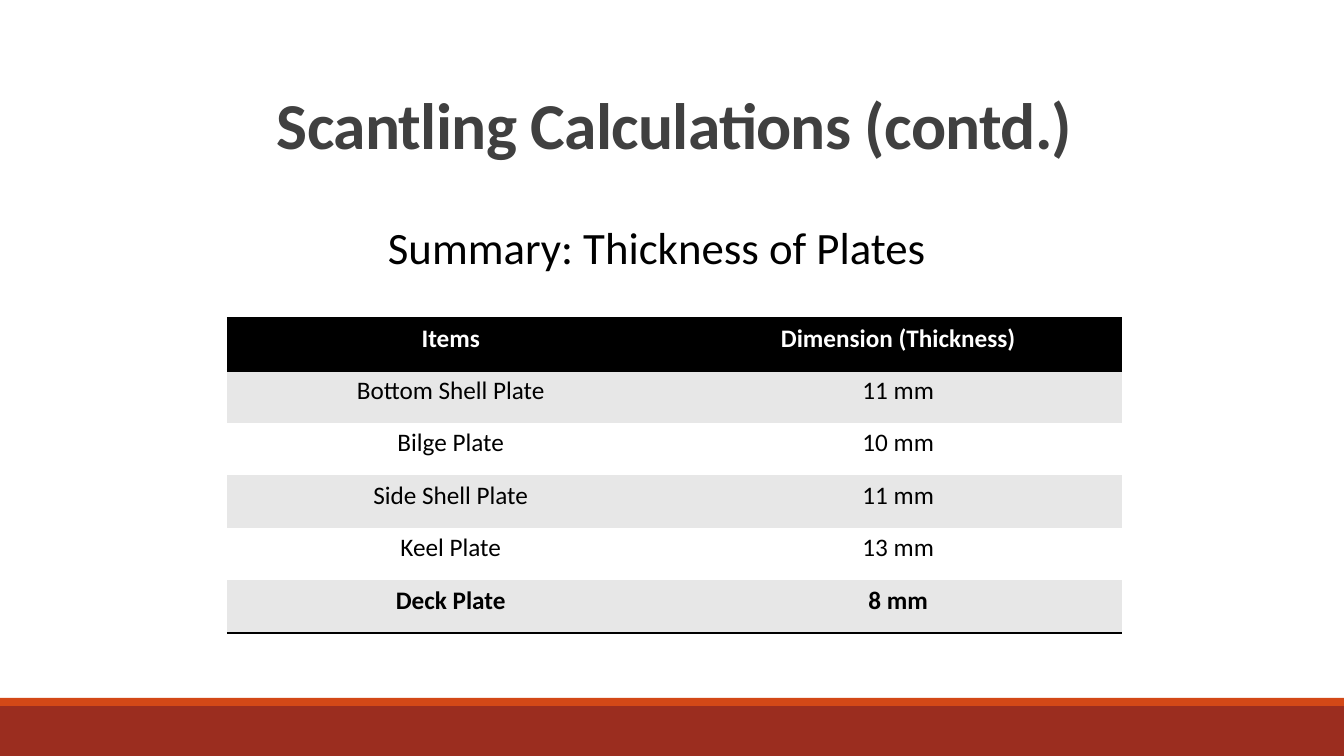
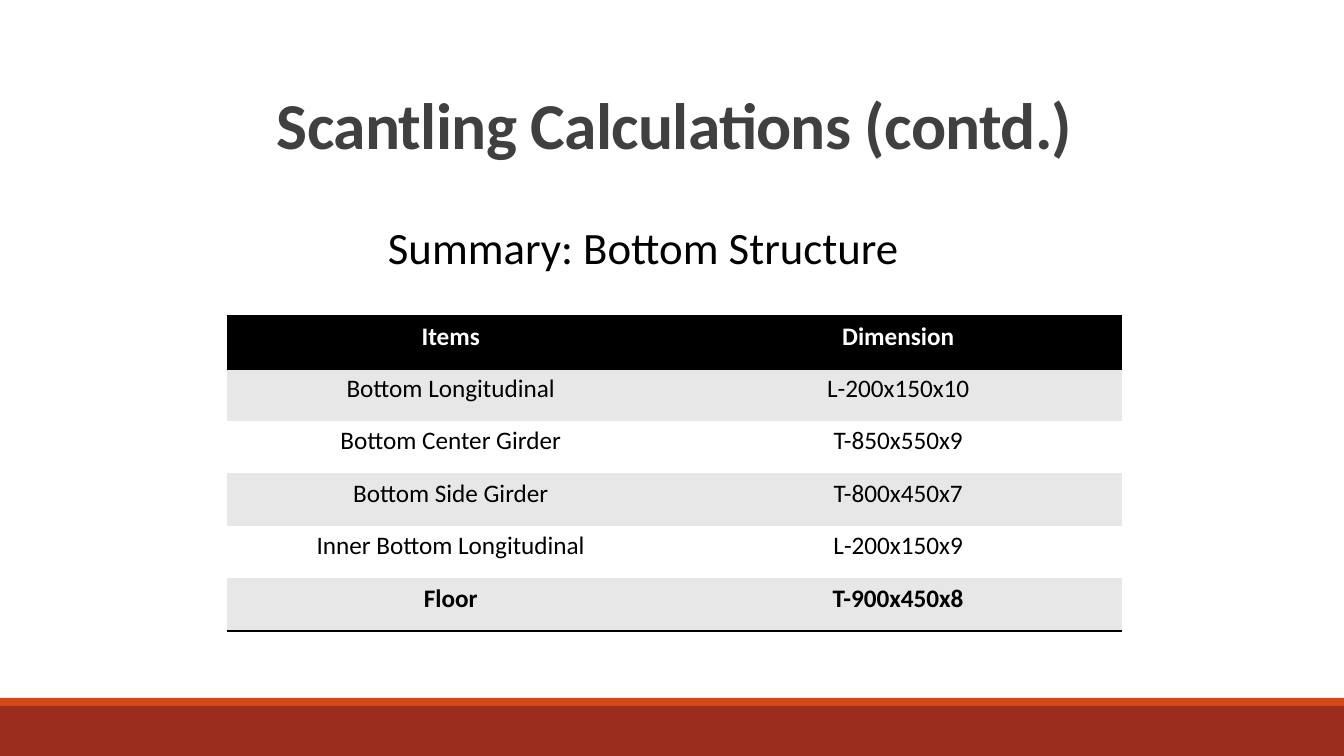
import dataclasses

import lxml.etree
import pptx
import pptx.dml.color
import pptx.enum.shapes
import pptx.enum.text
import pptx.oxml.ns
import pptx.util

ALIGN = pptx.enum.text.PP_ALIGN
ANCHOR = pptx.enum.text.MSO_ANCHOR
NO_STYLE = "{2D5ABB26-0587-4C30-8999-92F81FD0307C}"


@dataclasses.dataclass(frozen=True)
class Theme:
    font: str = "Calibri"
    title_size: float = 46.8
    subtitle_size: float = 32
    table_size: float = 18
    rule_width: float = 2
    title: str = "404040"
    ink: str = "000000"
    paper: str = "FFFFFF"
    stripe: str = "E7E7E7"
    footer: str = "9B2D1F"
    accent: str = "D34817"


THEME = Theme()
SLIDE_SIZE = (1344, 756)
TITLE_BOX = (120, 91, 1109, 160)
SUBTITLE_BOX = (378, 188, 600, 92)
FOOTER_BANDS = (
    ((0, 706, 1344, 50), THEME.footer),
    ((0, 698, 1344, 8), THEME.accent),
)
TITLE = "Scantling Calculations (contd.)"
SUMMARIES = (
    ("Summary: Thickness of Plates", (227, 318, 895, 315), (
        ("Items", "Dimension (Thickness)"),
        ("Bottom Shell Plate", "11 mm"),
        ("Bilge Plate", "10 mm"),
        ("Side Shell Plate", "11 mm"),
        ("Keel Plate", "13 mm"),
        ("Deck Plate", "8 mm"),
    )),
    ("Summary: Bottom Structure", (227, 316, 895, 315), (
        ("Items", "Dimension"),
        ("Bottom Longitudinal", "L-200x150x10"),
        ("Bottom Center Girder", "T-850x550x9"),
        ("Bottom Side Girder", "T-800x450x7"),
        ("Inner Bottom Longitudinal", "L-200x150x9"),
        ("Floor", "T-900x450x8"),
    )),
)


def px(length):
    return pptx.util.Emu(round(length * 914400 / 100.8))


def rgb(color):
    return pptx.dml.color.RGBColor.from_string(color)


def write(frame, text, size, color, bold=False, align=ALIGN.LEFT, spacing=1.0):
    frame.text = text
    paragraph = frame.paragraphs[0]
    paragraph.alignment = align
    paragraph.line_spacing = spacing
    run = paragraph.runs[0]
    run.font.name = THEME.font
    run.font.size = pptx.util.Pt(size)
    run.font.bold = bold
    run.font.color.rgb = rgb(color)
    return run


def add_footer(slide):
    for box, color in FOOTER_BANDS:
        band = slide.shapes.add_shape(
            pptx.enum.shapes.MSO_SHAPE.RECTANGLE, *map(px, box))
        band.shadow.inherit = False
        band.fill.solid()
        band.fill.fore_color.rgb = rgb(color)
        band.line.fill.background()


def add_title(slide, box, text):
    title = slide.shapes.title
    title.left, title.top, title.width, title.height = map(px, box)
    frame = title.text_frame
    frame.word_wrap = True
    frame.auto_size = pptx.enum.text.MSO_AUTO_SIZE.NONE
    frame.vertical_anchor = ANCHOR.TOP
    run = write(frame, text, THEME.title_size, THEME.title, True, ALIGN.CENTER, 0.85)
    run._r.get_or_add_rPr().set("spc", "-50")


def add_subtitle(slide, box, text):
    frame = slide.shapes.add_textbox(*map(px, box)).text_frame
    frame.word_wrap = True
    write(frame, text, THEME.subtitle_size, THEME.ink, spacing=1.5)


def add_rule(cell, side):
    rule = lxml.etree.Element(
        pptx.oxml.ns.qn(f"a:{side}"), w=str(pptx.util.Pt(THEME.rule_width)))
    fill = lxml.etree.SubElement(rule, pptx.oxml.ns.qn("a:solidFill"))
    lxml.etree.SubElement(fill, pptx.oxml.ns.qn("a:srgbClr"), val=THEME.ink)
    cell._tc.get_or_add_tcPr().insert(0, rule)


def add_summary_table(slide, box, rows):
    frame = slide.shapes.add_table(len(rows), len(rows[0]), *map(px, box))
    table = frame.table
    table._tbl.tblPr.find(pptx.oxml.ns.qn("a:tableStyleId")).text = NO_STYLE
    last = len(rows) - 1
    for index, values in enumerate(rows):
        header = index == 0
        if header:
            fill = THEME.ink
        else:
            fill = THEME.stripe if index % 2 else THEME.paper
        for column, value in enumerate(values):
            cell = table.cell(index, column)
            cell.fill.solid()
            cell.fill.fore_color.rgb = rgb(fill)
            write(cell.text_frame, value, THEME.table_size,
                  THEME.paper if header else THEME.ink,
                  index in (0, last), ALIGN.CENTER)
            if index in (0, last):
                add_rule(cell, "lnB")
            if header:
                add_rule(cell, "lnT")


def add_summary_slide(deck, subtitle, table_box, rows):
    slide = deck.slides.add_slide(deck.slide_layouts[5])
    add_footer(slide)
    add_title(slide, TITLE_BOX, TITLE)
    add_subtitle(slide, SUBTITLE_BOX, subtitle)
    add_summary_table(slide, table_box, rows)


def main():
    deck = pptx.Presentation()
    deck.slide_width, deck.slide_height = map(px, SLIDE_SIZE)
    for summary in SUMMARIES:
        add_summary_slide(deck, *summary)
    deck.save("out.pptx")


if __name__ == "__main__":
    main()
